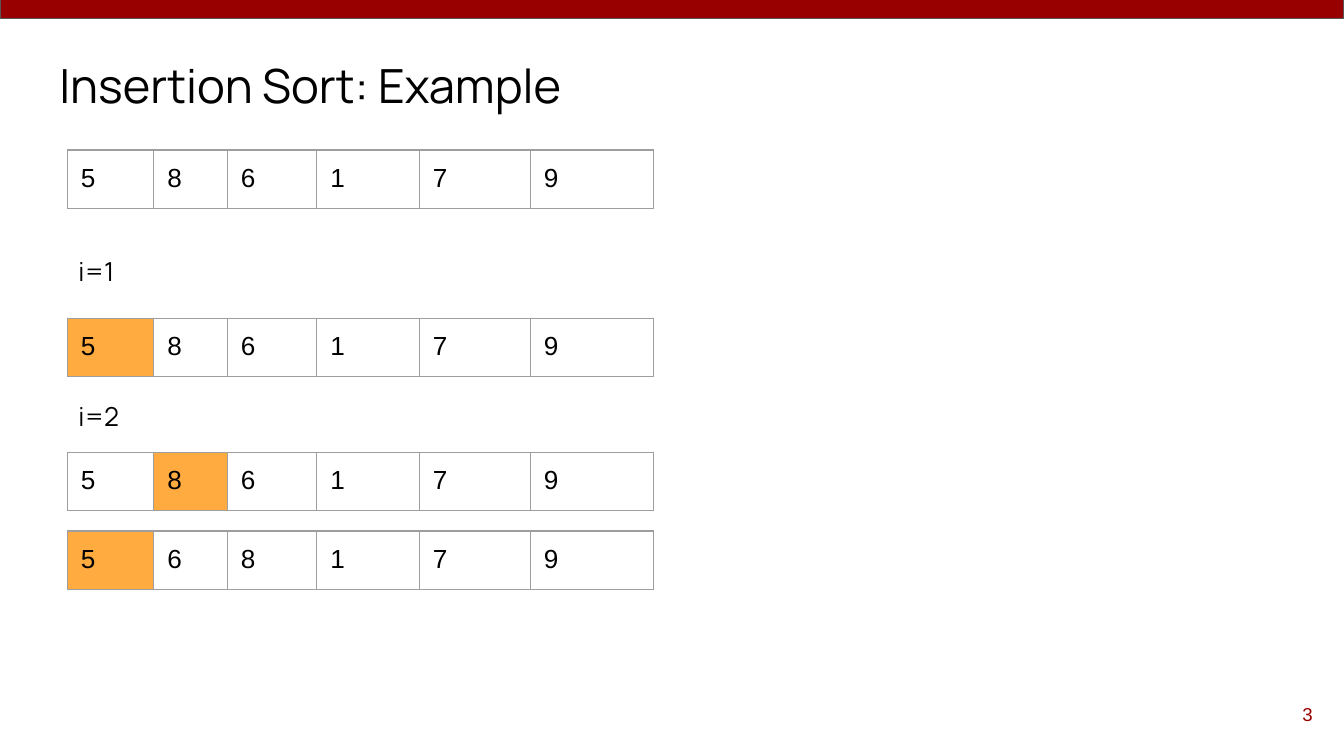
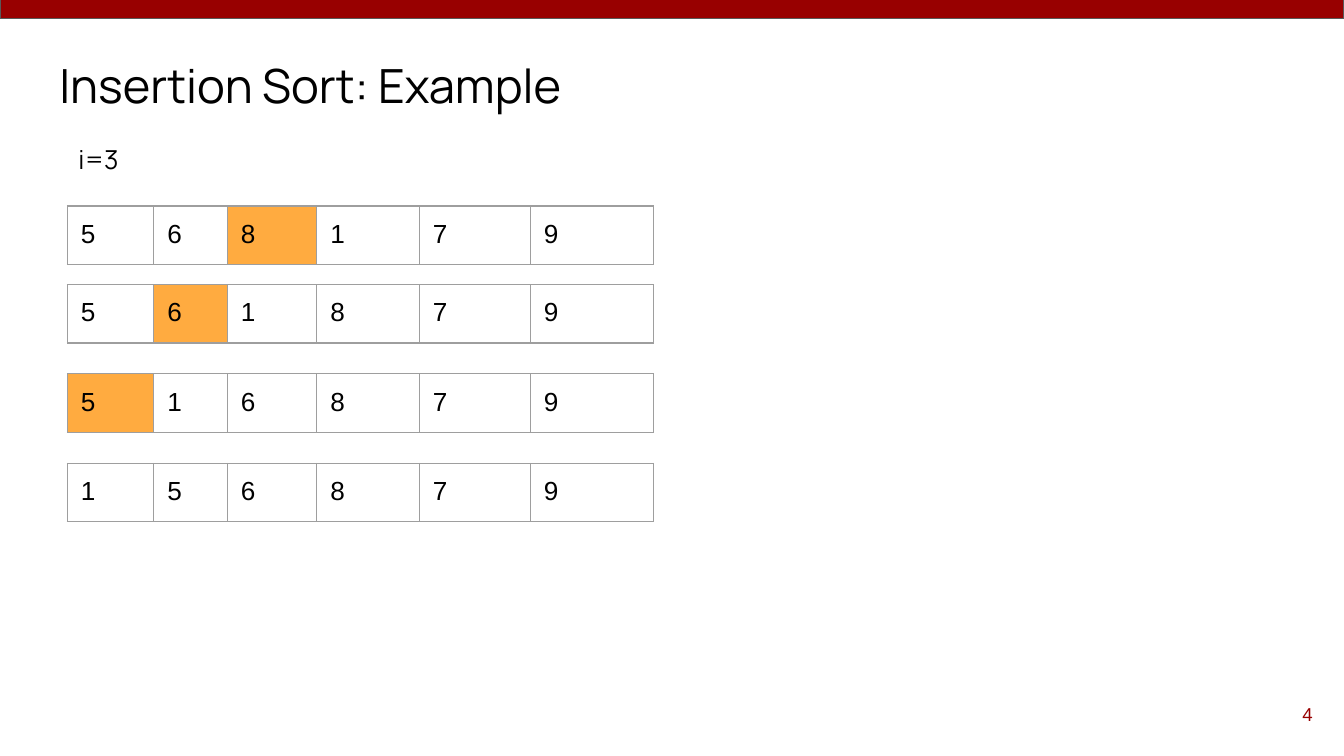
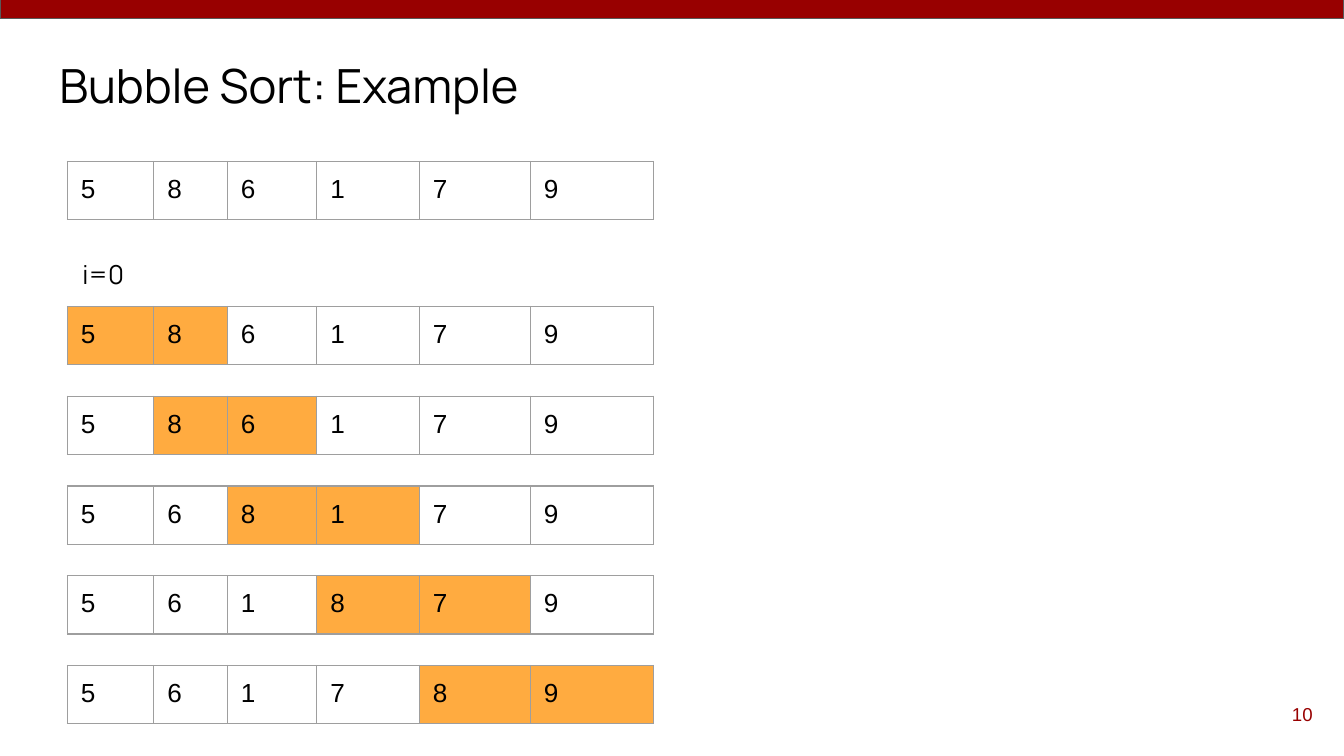
from dataclasses import dataclass
from itertools import zip_longest

from lxml.etree import SubElement
from pptx import Presentation
from pptx.dml.color import RGBColor
from pptx.enum.shapes import MSO_SHAPE
from pptx.enum.text import MSO_ANCHOR, MSO_AUTO_SIZE, PP_ALIGN
from pptx.oxml.ns import qn
from pptx.util import Inches, Pt

WIDTH, HEIGHT = 10, 10 * 9 / 16
GRID_COLUMNS = GRID_ROWS = 100
COLORS = {
    "band": "980000",
    "band_line": "595959",
    "text": "000000",
    "border": "9E9E9E",
    "active": "FFAB40",
    "visited": "FFFFFF",
}
FILLS = {"a": "active", "v": "visited"}
TABLE_LEFT, TABLE_HEIGHT = 5.02, 7.7
TABLE_FRAME = {"width": Inches(3.28), "height": Inches(3.28)}
CELL_COLUMNS = (6.43, 5.48, 6.65, 7.64, 8.25, 9.17)
MARGINS = {f"margin_{side}": Inches(0.1) for side in ("left", "right", "top", "bottom")}
FRAME = MARGINS | {"word_wrap": True, "vertical_anchor": MSO_ANCHOR.TOP}
TITLE_FONT = {"name": "Manrope", "size": Pt(25.2)}
LABEL_FONT = {"name": "Manrope", "size": Pt(14)}
CELL_FONT = {"name": "Arial", "size": Pt(14)}
NUMBER_FONT = {"name": "Arial", "size": Pt(10)}


@dataclass(frozen=True)
class ArrayState:
    """One array at a grid row; fills holds a (active), v (visited) or - per cell."""

    top: float
    values: str
    fills: str = ""


@dataclass(frozen=True)
class StepLabel:
    """The caption of one pass of the loop."""

    top: float
    text: str
    left: float = 4.85
    width: float = 5.9


@dataclass(frozen=True)
class ExampleSlide:
    """The content of one worked example, from back to front."""

    title: str
    number: int
    items: tuple[ArrayState | StepLabel, ...]


BUBBLE_STEPS = (
    ("586179", "aa"),
    ("586179", "vaa"),
    ("568179", "vvaa"),
    ("561879", "vvvaa"),
    ("561789", "vvvvaa"),
)
EXAMPLES = (
    ExampleSlide(
        "Insertion Sort: Example",
        3,
        (
            ArrayState(19.85, "586179"),
            ArrayState(42.1, "586179", "a"),
            StepLabel(32, "i=1"),
            StepLabel(51.25, "i=2"),
            ArrayState(59.85, "586179", "va"),
            ArrayState(70.25, "568179", "av"),
        ),
    ),
    ExampleSlide(
        "Insertion Sort: Example",
        4,
        (
            ArrayState(27.25, "568179", "vva"),
            StepLabel(17.2, "i=3"),
            ArrayState(37.65, "561879", "vav"),
            ArrayState(49.45, "516879", "avv"),
            ArrayState(61.3, "156879", "vvv"),
        ),
    ),
    ExampleSlide(
        "Bubble Sort: Example",
        10,
        (
            ArrayState(21.35, "586179"),
            StepLabel(32.4, "i=0", 5.15, 6.6),
            *(
                ArrayState(40.55 + 11.87 * step, values, fills)
                for step, (values, fills) in enumerate(BUBBLE_STEPS)
            ),
        ),
    ),
)


def columns(count: float) -> int:
    """Return the length of a number of grid columns."""
    return Inches(WIDTH * count / GRID_COLUMNS)


def rows(count: float) -> int:
    """Return the length of a number of grid rows."""
    return Inches(HEIGHT * count / GRID_ROWS)


def grid_box(left: float, top: float, width: float, height: float) -> tuple[int, ...]:
    """Convert a box on the grid to lengths."""
    return columns(left), rows(top), columns(width), rows(height)


def color(name: str) -> RGBColor:
    """Look up a named colour."""
    return RGBColor.from_string(COLORS[name])


def apply_format(target, values: dict) -> None:
    """Set every attribute in a dict of format values."""
    for name, value in values.items():
        setattr(target, name, value)


def write_text(frame, text: str, font: dict, color_name: str = "text",
               alignment=PP_ALIGN.LEFT) -> None:
    """Fill a text frame with one formatted paragraph."""
    paragraph = frame.paragraphs[0]
    paragraph.alignment = alignment
    run = paragraph.add_run()
    run.text = text
    apply_format(run.font, font)
    run.font.color.rgb = color(color_name)


def add_band(presentation, slide) -> None:
    """Draw the top band and hand it to the slide master."""
    band = slide.shapes.add_shape(MSO_SHAPE.RECTANGLE, *grid_box(0, -0.2, 100, 2.7))
    band.shadow.inherit = False
    band.fill.solid()
    band.fill.fore_color.rgb = color("band")
    band.line.color.rgb = color("band_line")
    band.line.width = Pt(0.75)
    presentation.slide_master.shapes.element.append(band.element)


def add_title(slide, text: str) -> None:
    """Place and fill the title placeholder."""
    title = slide.shapes.title
    box = grid_box(3.41, 5.7, 93.18, 11.2)
    apply_format(title, dict(zip(("left", "top", "width", "height"), box)))
    apply_format(title.text_frame, FRAME | {"auto_size": MSO_AUTO_SIZE.NONE})
    write_text(title.text_frame, text, TITLE_FONT)


def add_label(slide, label: StepLabel) -> None:
    """Add the caption of a pass."""
    box = grid_box(label.left, label.top, label.width, 7.8)
    frame = slide.shapes.add_textbox(*box).text_frame
    apply_format(frame, FRAME | {"auto_size": MSO_AUTO_SIZE.SHAPE_TO_FIT_TEXT})
    write_text(frame, label.text, LABEL_FONT)


def add_number(slide, number: int) -> None:
    """Add the slide number at the lower right."""
    frame = slide.shapes.add_textbox(*grid_box(92.65, 90.7, 6, 7.6)).text_frame
    apply_format(frame, FRAME | {"vertical_anchor": MSO_ANCHOR.MIDDLE})
    write_text(frame, str(number), NUMBER_FONT, "band", PP_ALIGN.RIGHT)


def set_borders(cell) -> None:
    """Draw a thin line on all four sides of a cell."""
    properties = cell._tc.get_or_add_tcPr()
    for position, side in enumerate(("lnL", "lnR", "lnT", "lnB")):
        line = SubElement(properties, qn(f"a:{side}"), w=str(Pt(0.75)))
        fill = SubElement(line, qn("a:solidFill"))
        SubElement(fill, qn("a:srgbClr"), val=COLORS["border"])
        properties.insert(position, line)


def add_array(slide, array: ArrayState) -> None:
    """Add an array as a one-row table."""
    box = grid_box(TABLE_LEFT, array.top, sum(CELL_COLUMNS), TABLE_HEIGHT)
    graphic_frame = slide.shapes.add_table(1, len(CELL_COLUMNS), *box)
    table = graphic_frame.table
    apply_format(table, {"first_row": False, "horz_banding": False})
    for column, width in zip(table.columns, CELL_COLUMNS):
        column.width = columns(width)
    apply_format(graphic_frame, TABLE_FRAME)
    cells = table.rows[0].cells
    for cell, value, mark in zip_longest(cells, array.values, array.fills, fillvalue="-"):
        apply_format(cell, MARGINS)
        write_text(cell.text_frame, value, CELL_FONT)
        if mark in FILLS:
            cell.fill.solid()
            cell.fill.fore_color.rgb = color(FILLS[mark])
        else:
            cell.fill.background()
        set_borders(cell)


def main() -> None:
    """Build and save the presentation."""
    presentation = Presentation()
    size = {"slide_width": Inches(WIDTH), "slide_height": Inches(HEIGHT)}
    apply_format(presentation, size)
    title_only = presentation.slide_layouts.get_by_name("Title Only")
    for index, example in enumerate(EXAMPLES):
        slide = presentation.slides.add_slide(title_only)
        if index == 0:
            add_band(presentation, slide)
        add_title(slide, example.title)
        for item in example.items:
            draw = add_array if isinstance(item, ArrayState) else add_label
            draw(slide, item)
        add_number(slide, example.number)
    presentation.save("out.pptx")


if __name__ == "__main__":
    main()
